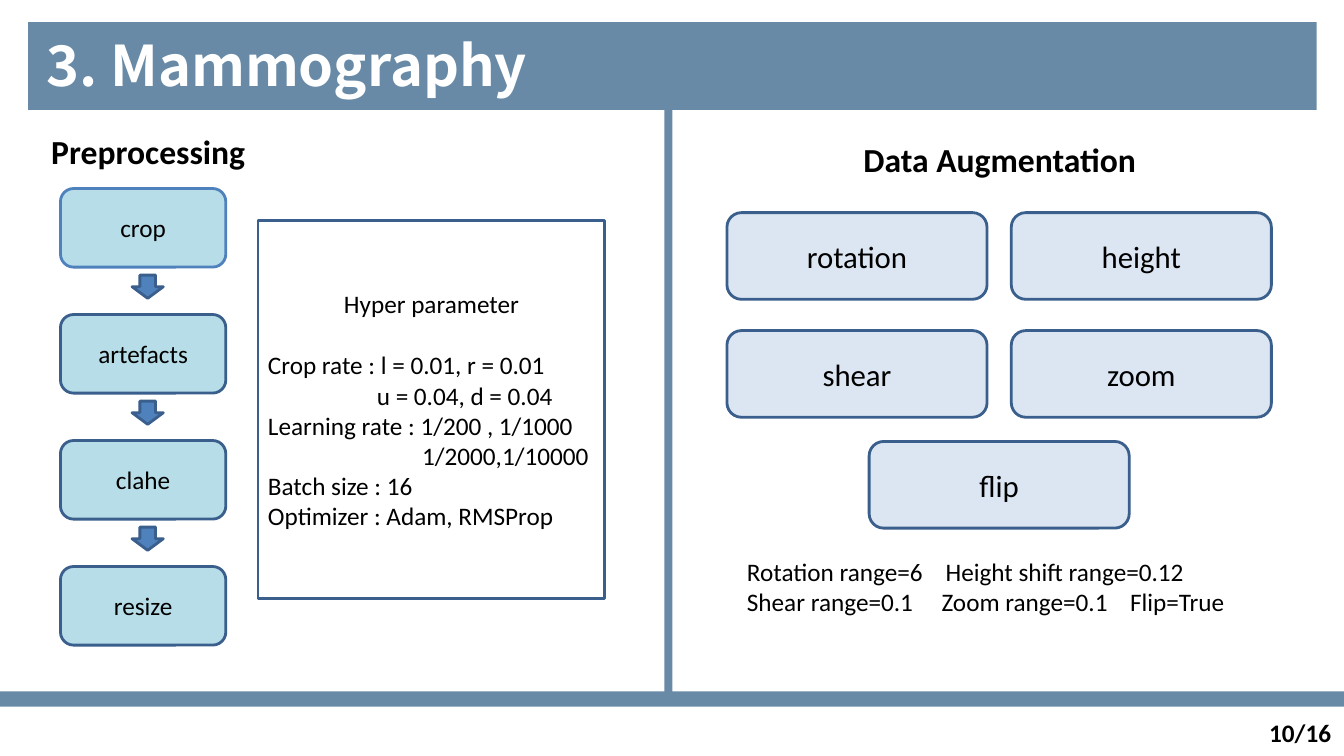
import pptx
import pptx.util
import pptx.dml.color
import pptx.enum.shapes
import pptx.enum.text
from lxml import etree

Inches = pptx.util.Inches
Pt = pptx.util.Pt
SHAPES = pptx.enum.shapes.MSO_SHAPE
ALIGN = pptx.enum.text.PP_ALIGN
ANCHOR = pptx.enum.text.MSO_ANCHOR

STEEL = "688AA6"
NAVY = "3A5F8C"
BLUE = "4F81BD"
AQUA = "B7DEE8"
PALE = "DCE6F2"


def add_block(kind, left, top, width, height, fill=None, line=None):
    """Add a preset shape, or a text box when kind is None."""
    place = [Inches(value) for value in (left, top, width, height)]
    if kind is None:
        return slide.shapes.add_textbox(*place)
    block = slide.shapes.add_shape(kind, *place)
    block.shadow.inherit = False
    block.fill.solid()
    block.fill.fore_color.rgb = pptx.dml.color.RGBColor.from_string(fill)
    if line:
        block.line.color.rgb = pptx.dml.color.RGBColor.from_string(line)
        block.line.width = Pt(2)
    else:
        block.line.fill.background()
    return block


def write(block, text, size=18, color="000000", bold=False, font="Calibri",
          align=ALIGN.LEFT, anchor=ANCHOR.TOP, indents=(), tabs=(), after_first=0):
    """Fill a block line by line; indents and tabs hold inches for each line."""
    frame = block.text_frame
    frame.word_wrap = True
    frame.auto_size = pptx.enum.text.MSO_AUTO_SIZE.NONE
    frame.vertical_anchor = anchor
    frame.text = text
    for index, paragraph in enumerate(frame.paragraphs):
        paragraph.alignment = align
        paragraph.font.size = Pt(size)
        for run in paragraph.runs:
            run.font.size = Pt(size)
            run.font.name = font
            run.font.bold = bold
            run.font.color.rgb = pptx.dml.color.RGBColor.from_string(color)
        properties = paragraph._p.get_or_add_pPr()
        if indents:
            properties.set("marL", str(Inches(indents[index])))
        if tabs:
            namespace = pptx.oxml.ns.qn("a:tabLst")
            stops = etree.Element(namespace)
            for stop in tabs[index]:
                etree.SubElement(stops, pptx.oxml.ns.qn("a:tab"),
                                 pos=str(Inches(stop)), algn="l")
            properties.insert_element_before(stops, "a:defRPr", "a:extLst")
    if after_first:
        frame.paragraphs[0].space_after = Pt(after_first)


deck = pptx.Presentation()
deck.slide_width = Inches(13.33)
deck.slide_height = Inches(7.5)
slide = deck.slides.add_slide(deck.slide_layouts.get_by_name("Title Only"))

# Title band, footer band and divider
title = slide.shapes.title
title.left, title.top = Inches(0.28), Inches(0.22)
title.width, title.height = Inches(12.78), Inches(0.87)
title.fill.solid()
title.fill.fore_color.rgb = pptx.dml.color.RGBColor.from_string(STEEL)
write(title, "3. Mammography", size=40, color="FFFFFF", bold=True,
      font="Noto Sans CJK KR")
title.text_frame.margin_left = Inches(0.18)
title.text_frame.margin_top = Inches(0.08)
title.text_frame.margin_bottom = 0

add_block(SHAPES.RECTANGLE, 0, 6.86, 13.33, 0.15, STEEL)
add_block(SHAPES.RECTANGLE, 6.59, 1.02, 0.08, 5.94, STEEL)

# Preprocessing steps
preprocessing = add_block(None, 0.41, 1.25, 4, 0.5)
write(preprocessing, "Preprocessing", size=24, bold=True)

steps = ["crop", "artefacts", "clahe", "resize"]
for row, step in enumerate(steps):
    top = 1.87 + 1.25 * row
    step_box = add_block(SHAPES.ROUNDED_RECTANGLE, 0.6, top, 1.64, 0.78, AQUA,
                         BLUE if row == 0 else NAVY)
    write(step_box, step, align=ALIGN.CENTER, anchor=ANCHOR.MIDDLE)
    if row < len(steps) - 1:
        add_block(SHAPES.DOWN_ARROW, 1.31, top + 0.86, 0.31, 0.23, BLUE, NAVY)

hyper_parameters = add_block(SHAPES.RECTANGLE, 2.56, 2.19, 3.44, 3.75, "FFFFFF", NAVY)
write(hyper_parameters,
      "Hyper parameter\n"
      "Crop rate : l = 0.01, r = 0.01\n"
      "u = 0.04, d = 0.04\n"
      "Learning rate : 1/200 , 1/1000\n"
      "1/2000,1/10000\n"
      "Batch size : 16\n"
      "Optimizer : Adam, RMSProp",
      anchor=ANCHOR.MIDDLE, indents=(0, 0, 1.08, 0, 1.53, 0, 0), after_first=22)
hyper_parameters.text_frame.paragraphs[0].alignment = ALIGN.CENTER

# Data augmentation
augmentation = add_block(None, 7.53, 1.33, 4.77, 0.5)
write(augmentation, "Data Augmentation", size=24, bold=True, align=ALIGN.CENTER)

for method, left, top in [("rotation", 7.21, 2.11), ("height", 10.03, 2.11),
                          ("shear", 7.21, 3.28), ("zoom", 10.03, 3.28),
                          ("flip", 8.62, 4.38)]:
    method_box = add_block(SHAPES.ROUNDED_RECTANGLE, left, top, 2.58, 0.86, PALE, NAVY)
    write(method_box, method, size=22, align=ALIGN.CENTER, anchor=ANCHOR.MIDDLE)

ranges = add_block(None, 7.31, 5.47, 5.68, 0.71)
write(ranges,
      "Rotation range=6\tHeight shift range=0.12\n"
      "Shear range=0.1\tZoom range=0.1\tFlip=True",
      tabs=((1.97,), (1.93, 3.8)))

page_number = add_block(None, 12.49, 7.07, 0.87, 0.4)
write(page_number, "10/16", bold=True)

deck.save("out.pptx")
